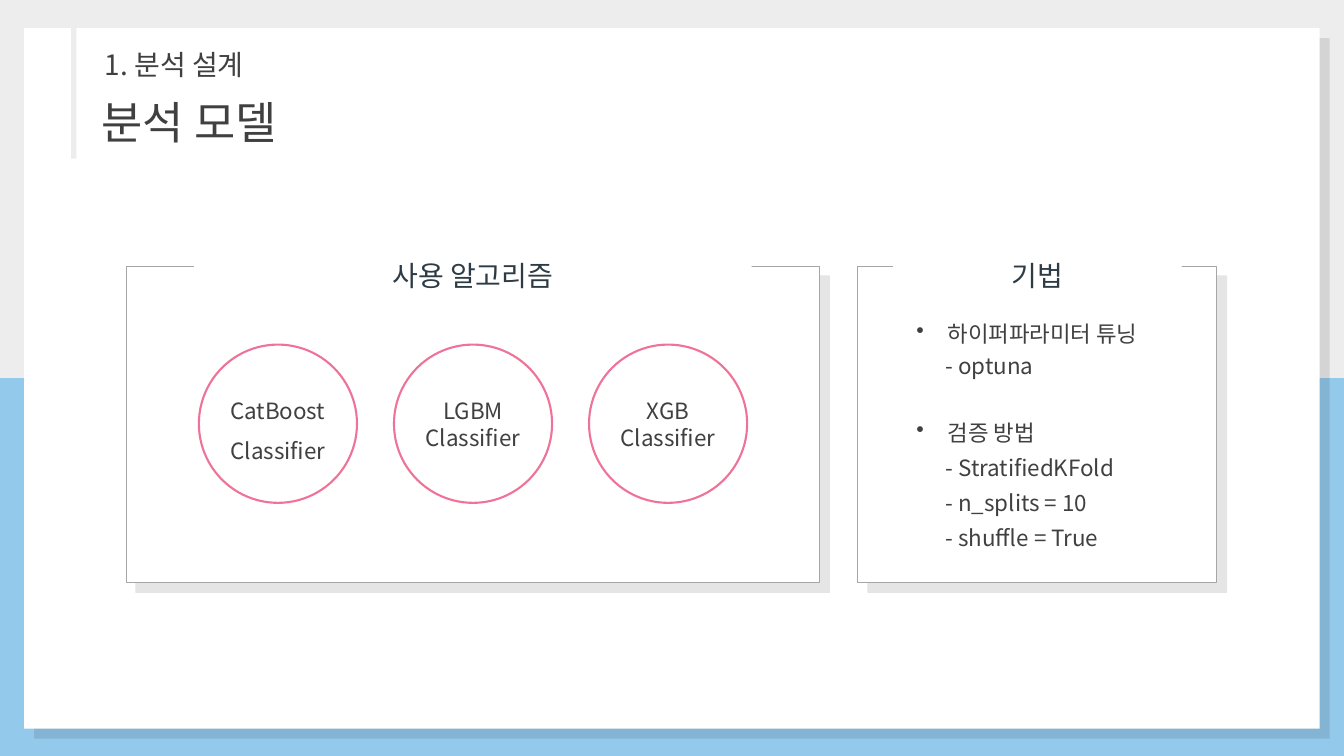
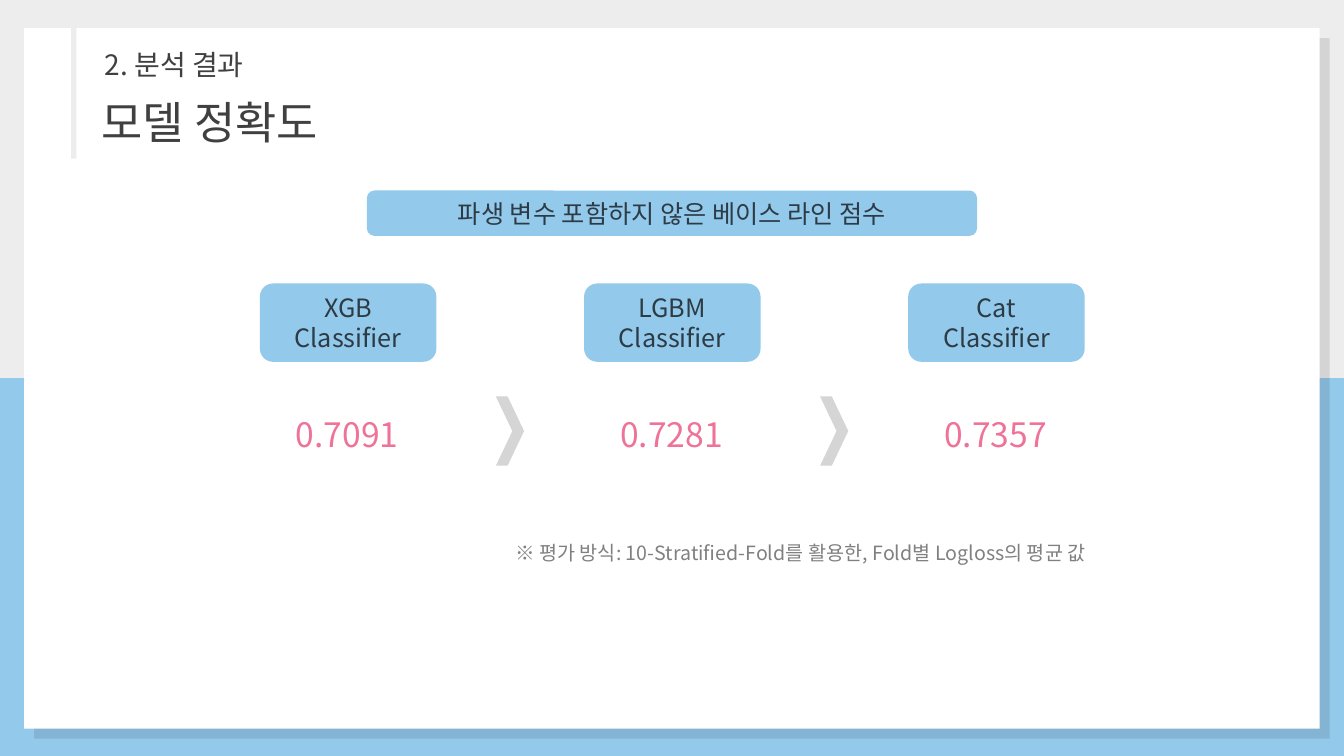
from typing import NamedTuple

from pptx import Presentation
from pptx.dml.color import RGBColor
from pptx.enum.shapes import MSO_SHAPE
from pptx.enum.text import MSO_ANCHOR, PP_ALIGN
from pptx.oxml import parse_xml
from pptx.oxml.ns import nsdecls
from pptx.oxml.xmlchemy import OxmlElement
from pptx.util import Inches, Pt

FONT = "Noto Sans CJK KR"
BLUE = RGBColor(0x93, 0xC9, 0xEB)
PINK = RGBColor(0xEF, 0x73, 0x98)
NAVY = RGBColor(0x2D, 0x3B, 0x45)
DARK = RGBColor(0x40, 0x40, 0x40)
MUTED = RGBColor(0x80, 0x80, 0x80)
OUTLINE = RGBColor(0xA6, 0xA6, 0xA6)
CHEVRON = RGBColor(0xD5, 0xD5, 0xD5)
PALE = RGBColor(0xED, 0xED, 0xED)
WHITE = RGBColor(0xFF, 0xFF, 0xFF)

CENTERED = {"alignment": PP_ALIGN.CENTER}
SHADOW = (
    f'<a:outerShdw {nsdecls("a")} blurRad="0" dist="{Pt(10)}" dir="2700000" '
    'algn="tl" rotWithShape="0"><a:srgbClr val="000000">'
    '<a:alpha val="10000"/></a:srgbClr></a:outerShdw>'
)


class Box(NamedTuple):
    x: float
    y: float
    w: float
    h: float

    def cell(self, x, y, w, h):
        """Box inside this one, in percent of its width and height."""
        return Box(self.x + self.w * x / 100, self.y + self.h * y / 100,
                   self.w * w / 100, self.h * h / 100)

    def inches(self):
        return [Inches(v) for v in self]


SLIDE = Box(0, 0, 13.33, 7.5)


def add_box(s, kind, box, fill, line=None, width=0.75, shadow=False):
    sp = s.shapes.add_shape(kind, *box.inches())
    sp.shadow.inherit = False
    sp.fill.solid()
    sp.fill.fore_color.rgb = fill
    if line is None:
        sp.line.fill.background()
    else:
        sp.line.color.rgb = line
        sp.line.width = Pt(width)
    if shadow:
        effects = sp.element.spPr.find("{*}effectLst")
        effects.append(parse_xml(SHADOW))
    return sp


def add_label(s, box):
    sp = s.shapes.add_textbox(*box.inches())
    sp.text_frame.word_wrap = True
    return sp


def add_line(p, text, size, color, **formats):
    for name, value in formats.items():
        setattr(p, name, value)
    r = p.add_run()
    r.text = text
    r.font.color.rgb = color
    for name, value in {"name": FONT, "size": Pt(size)}.items():
        setattr(r.font, name, value)
    ea = OxmlElement("a:ea")
    ea.set("typeface", FONT)
    r._r.get_or_add_rPr().append(ea)


def write(sp, lines, size, color, **formats):
    tf = sp.text_frame
    for i, text in enumerate(lines):
        p = tf.paragraphs[0] if i == 0 else tf.add_paragraph()
        add_line(p, text, size, color, **formats)


def indent(p, left, first=0, bullet=None):
    pPr = p._p.get_or_add_pPr()
    pPr.set("marL", str(Inches(left)))
    pPr.set("indent", str(Inches(first)))
    if bullet:
        bu = OxmlElement("a:buChar")
        bu.set("char", bullet)
        pPr.append(bu)


def build_frame(prs, layout):
    fill = prs.slide_master.background.fill
    fill.solid()
    fill.fore_color.rgb = BLUE
    for ph in list(layout.placeholders):
        layout.shapes.element.remove(ph.element)
    s = prs.slides.add_slide(layout)
    rect = MSO_SHAPE.RECTANGLE
    parts = [
        add_box(s, rect, SLIDE.cell(0, 0, 100, 50), PALE),
        add_box(s, rect, SLIDE.cell(1.8, 3.73, 96.4, 92.67), WHITE, shadow=True),
        add_box(s, rect, SLIDE.cell(5.3, 3.7, 0.38, 17.3), PALE),
    ]
    for sp in parts:
        layout.shapes.element.append(sp.element)
    return s


def add_titles(s, section, title):
    write(add_label(s, SLIDE.cell(7.05, 5.6, 19, 5.87)), [section], 20, DARK)
    write(add_label(s, SLIDE.cell(6.83, 11.87, 23, 8.53)), [title], 32, DARK)


def add_panel(s, box, heading):
    add_box(s, MSO_SHAPE.RECTANGLE, box, WHITE, OUTLINE, shadow=True)
    tab = add_box(s, MSO_SHAPE.RECTANGLE, box.cell(9.8, -4.1, 80.4, 13.8), WHITE)
    write(tab, [heading], 20, NAVY, **CENTERED)


def add_algorithms(s, box, names):
    add_panel(s, box, "사용 알고리즘")
    for i, (name, spacing) in enumerate(names):
        circle = add_box(s, MSO_SHAPE.OVAL, box.cell(10.5 + 28.13 * i, 24.8, 22.8, 50),
                         WHITE, PINK, 1.5)
        circle.text_frame.word_wrap = False
        write(circle, [name, "Classifier"], 16, DARK, line_spacing=spacing, **CENTERED)


def add_techniques(s, box, groups):
    add_panel(s, box, "기법")
    tf = add_label(s, box.cell(13.5, 13.7, 89.3, 91.4)).text_frame
    p = tf.paragraphs[0]
    for i, (topic, spacing, details) in enumerate(groups):
        if i:
            p = tf.add_paragraph()
        add_line(p, topic, 16, DARK, line_spacing=spacing, space_before=Pt(23 * i))
        indent(p, 0.31, -0.31, "•")
        for detail in details:
            p = tf.add_paragraph()
            add_line(p, f"- {detail}", 16, DARK, line_spacing=spacing)
            indent(p, 0.29)


def add_score(s, box, model, score, arrow):
    label = add_box(s, MSO_SHAPE.ROUNDED_RECTANGLE, box.cell(0, 0, 100, 43), BLUE)
    label.text_frame.vertical_anchor = MSO_ANCHOR.MIDDLE
    write(label, [model, "Classifier"], 18, NAVY, **CENTERED)
    write(add_label(s, box.cell(8, 57.5, 83, 36)), [score], 24, PINK,
          line_spacing=1.5, **CENTERED)
    if arrow:
        chevron = add_box(s, MSO_SHAPE.CHEVRON, box.cell(133.7, 62, 16, 38), CHEVRON)
        chevron.adjustments[0] = 0.585


def build_models(s):
    add_titles(s, "1. 분석 설계", "분석 모델")
    add_algorithms(s, SLIDE.cell(9.38, 35.2, 51.6, 41.87),
                   [("CatBoost", 1.5), ("LGBM", 1.0), ("XGB", 1.0)])
    add_techniques(s, SLIDE.cell(63.84, 35.2, 26.7, 41.87), [
        ("하이퍼파라미터 튜닝", 1.2, ["optuna"]),
        ("검증 방법", 1.3, ["StratifiedKFold", "n_splits = 10", "shuffle = True"]),
    ])


def build_accuracy(s):
    add_titles(s, "2. 분석 결과", "모델 정확도")
    scores = [("XGB", "0.7091"), ("LGBM", "0.7281"), ("Cat", "0.7357")]
    for i, (model, score) in enumerate(scores):
        add_score(s, SLIDE.cell(19.34 + 24.12 * i, 37.5, 13.13, 24.1),
                  model, score, i < len(scores) - 1)
    write(add_label(s, SLIDE.cell(37.6, 70.9, 54.6, 4.5)),
          ["※ 평가 방식: 10-Stratified-Fold를 활용한, Fold별 Logloss의 평균 값"], 14, MUTED)
    banner = add_box(s, MSO_SHAPE.ROUNDED_RECTANGLE, SLIDE.cell(27.3, 25.2, 45.4, 6), BLUE)
    write(banner, ["파생 변수 포함하지 않은 베이스 라인 점수"], 18, NAVY, **CENTERED)


def main():
    prs = Presentation()
    prs.slide_width, prs.slide_height = Inches(SLIDE.w), Inches(SLIDE.h)
    layout = prs.slide_layouts[6]
    build_models(build_frame(prs, layout))
    build_accuracy(prs.slides.add_slide(layout))
    prs.save("out.pptx")


if __name__ == "__main__":
    main()
